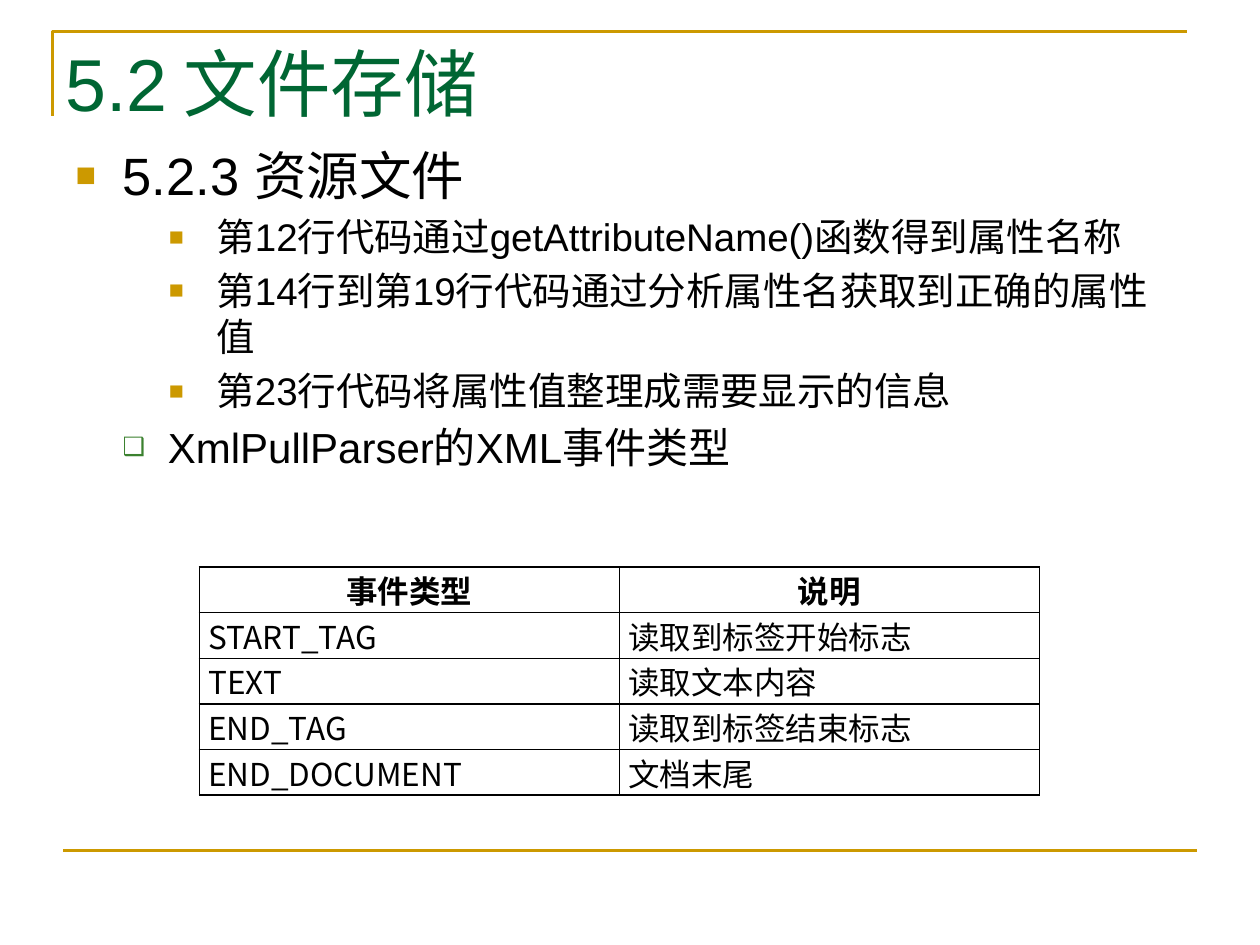
from dataclasses import dataclass

from lxml import etree
from pptx import Presentation
from pptx.dml.color import RGBColor
from pptx.enum.shapes import MSO_CONNECTOR
from pptx.enum.text import MSO_ANCHOR, MSO_AUTO_SIZE, PP_ALIGN
from pptx.oxml.ns import qn
from pptx.util import Cm, Pt

STRAIGHT = MSO_CONNECTOR.STRAIGHT
MIDDLE, TOP = MSO_ANCHOR.MIDDLE, MSO_ANCHOR.TOP
NO_FIT = MSO_AUTO_SIZE.NONE
LEFT, CENTER, JUSTIFY = PP_ALIGN.LEFT, PP_ALIGN.CENTER, PP_ALIGN.JUSTIFY


@dataclass(frozen=True)
class Theme:
    gold: str = "CC9900"
    green: str = "006633"
    leaf: str = "3B812F"
    black: str = "000000"
    latin: str = "Arial"
    cjk: str = "Noto Sans CJK SC"
    serif: str = "Times New Roman"
    title_size: int = 42
    heading_size: int = 30
    item_size: int = 24
    detail_size: int = 22
    table_size: int = 18
    rule_width: float = 1.5
    border_width: float = 1


THEME = Theme()

# Outline levels: level, left margin (cm), hanging (cm), bullet, colour, percent, size
HEADING = (0, 0.95, 0.95, "■", THEME.gold, 65, THEME.heading_size)
ITEM = (1, 1.86, 0.91, "❑", THEME.leaf, 60, THEME.item_size)
DETAIL = (2, 2.84, 0.96, "■", THEME.gold, 65, THEME.detail_size)

OUTLINE = [
    (HEADING, [("5.2.3 ", THEME.latin), ("资源文件", THEME.cjk)]),
    (DETAIL, [("第12行代码通过getAttributeName()函数得到属性名称", THEME.latin)]),
    (DETAIL, [("第14行到第19行代码通过分析属性名获取到正确的属性值", THEME.latin)]),
    (DETAIL, [("第23行代码将属性值整理成需要显示的信息", THEME.latin)]),
    (ITEM, [("XmlPullParser的XML事件类型", THEME.latin)]),
]

EVENTS = [
    ("事件类型", "说明"),
    ("START_TAG", "读取到标签开始标志"),
    ("TEXT", "读取文本内容"),
    ("END_TAG", "读取到标签结束标志"),
    ("END_DOCUMENT", "文档末尾"),
]


def apply_format(target, values):
    for name, value in values.items():
        setattr(target, name, value)


def place(shape, box):
    apply_format(shape, dict(zip(("left", "top", "width", "height"), map(Cm, box))))


def add_run(paragraph, text, face, size, color, bold=False):
    run = paragraph.add_run()
    run.text = text
    apply_format(run.font, {"name": face, "size": Pt(size), "bold": bold})
    run.font.color.rgb = RGBColor.from_string(color)
    latin = run.font._element.find(qn("a:latin"))
    east_asian = etree.Element(qn("a:ea"), typeface=THEME.cjk)
    latin.addnext(east_asian)


def set_bullet(paragraph, margin, hanging, char, color, percent):
    properties = paragraph._p.get_or_add_pPr()
    properties.set("marL", str(Cm(margin)))
    properties.set("indent", str(-Cm(hanging)))
    bullet_color = etree.SubElement(properties, qn("a:buClr"))
    etree.SubElement(bullet_color, qn("a:srgbClr"), val=color)
    etree.SubElement(properties, qn("a:buSzPct"), val=str(percent * 1000))
    etree.SubElement(properties, qn("a:buChar"), char=char)


def style_line(line):
    line.color.rgb = RGBColor.from_string(THEME.gold)
    line.width = Pt(THEME.rule_width)


def add_frame(slide, box):
    """Gold corner at the top left and gold rule at the bottom."""
    left, top, width, height = box
    builder = slide.shapes.build_freeform(Cm(left), Cm(top + 1.7))
    builder.add_line_segments(
        [(Cm(left), Cm(top)), (Cm(left + width), Cm(top))], close=False)
    corner = builder.convert_to_shape()
    corner.shadow.inherit = False
    corner.fill.background()
    style_line(corner.line)

    rule_left, rule_y = Cm(left + 0.21), Cm(top + height)
    rule = slide.shapes.add_connector(
        STRAIGHT, rule_left, rule_y, rule_left + Cm(width), rule_y)
    etree.SubElement(rule._element.spPr, qn("a:effectLst"))
    style_line(rule.line)


def add_title(slide, box):
    title = slide.shapes.title
    place(title, box)
    apply_format(title.text_frame, {
        "vertical_anchor": MIDDLE, "word_wrap": True, "auto_size": NO_FIT})
    heading = title.text_frame.paragraphs[0]
    heading.alignment = LEFT
    for text, face in (("5.2", THEME.latin), (" 文件存储", THEME.cjk)):
        add_run(heading, text, face, THEME.title_size, THEME.green)


def add_outline(slide, box):
    body = slide.placeholders[1]
    place(body, box)
    frame = body.text_frame
    apply_format(frame, {
        "vertical_anchor": TOP, "word_wrap": True, "auto_size": NO_FIT})
    for index, (style, runs) in enumerate(OUTLINE):
        level, margin, hanging, char, color, percent, size = style
        paragraph = frame.add_paragraph() if index else frame.paragraphs[0]
        set_bullet(paragraph, margin, hanging, char, color, percent)
        apply_format(paragraph, {
            "level": level, "alignment": LEFT,
            "space_before": Pt(0.2 * size if index else 0)})
        for text, face in runs:
            add_run(paragraph, text, face, size, THEME.black)


def set_borders(cell):
    properties = cell._tc.get_or_add_tcPr()
    for position, side in enumerate(("lnL", "lnR", "lnT", "lnB")):
        border = etree.Element(qn(f"a:{side}"), w=str(Pt(THEME.border_width)))
        fill = etree.SubElement(border, qn("a:solidFill"))
        etree.SubElement(fill, qn("a:srgbClr"), val=THEME.black)
        properties.insert(position, border)


def add_event_table(slide, box):
    left, top, width, height = map(Cm, box)
    events = slide.shapes.add_table(
        len(EVENTS), len(EVENTS[0]), left, top, width, height).table
    apply_format(events, {"first_row": False, "horz_banding": False})
    margins = {"margin_left": Cm(0.18), "margin_right": Cm(0.18),
               "margin_top": 0, "margin_bottom": 0}
    for row, texts in enumerate(EVENTS):
        header = row == 0
        for column, text in enumerate(texts):
            cell = events.cell(row, column)
            apply_format(cell, margins)
            cell.fill.background()
            set_borders(cell)
            paragraph = cell.text_frame.paragraphs[0]
            paragraph.alignment = CENTER if header else JUSTIFY
            face = THEME.serif if header or column else THEME.cjk
            add_run(paragraph, text, face, THEME.table_size, THEME.black, header)


def main():
    deck = Presentation()
    apply_format(deck, {"slide_width": Cm(25.4), "slide_height": Cm(19.05)})
    slide = deck.slides.add_slide(deck.slide_layouts[1])
    add_frame(slide, (1.06, 0.63, 22.86, 16.51))
    add_title(slide, (1.06, 0.6, 11.85, 2.12))
    add_outline(slide, (1.27, 2.75, 22.86, 14.39))
    add_event_table(slide, (4.02, 11.43, 16.93, 4.02))
    deck.save("out.pptx")


if __name__ == "__main__":
    main()
